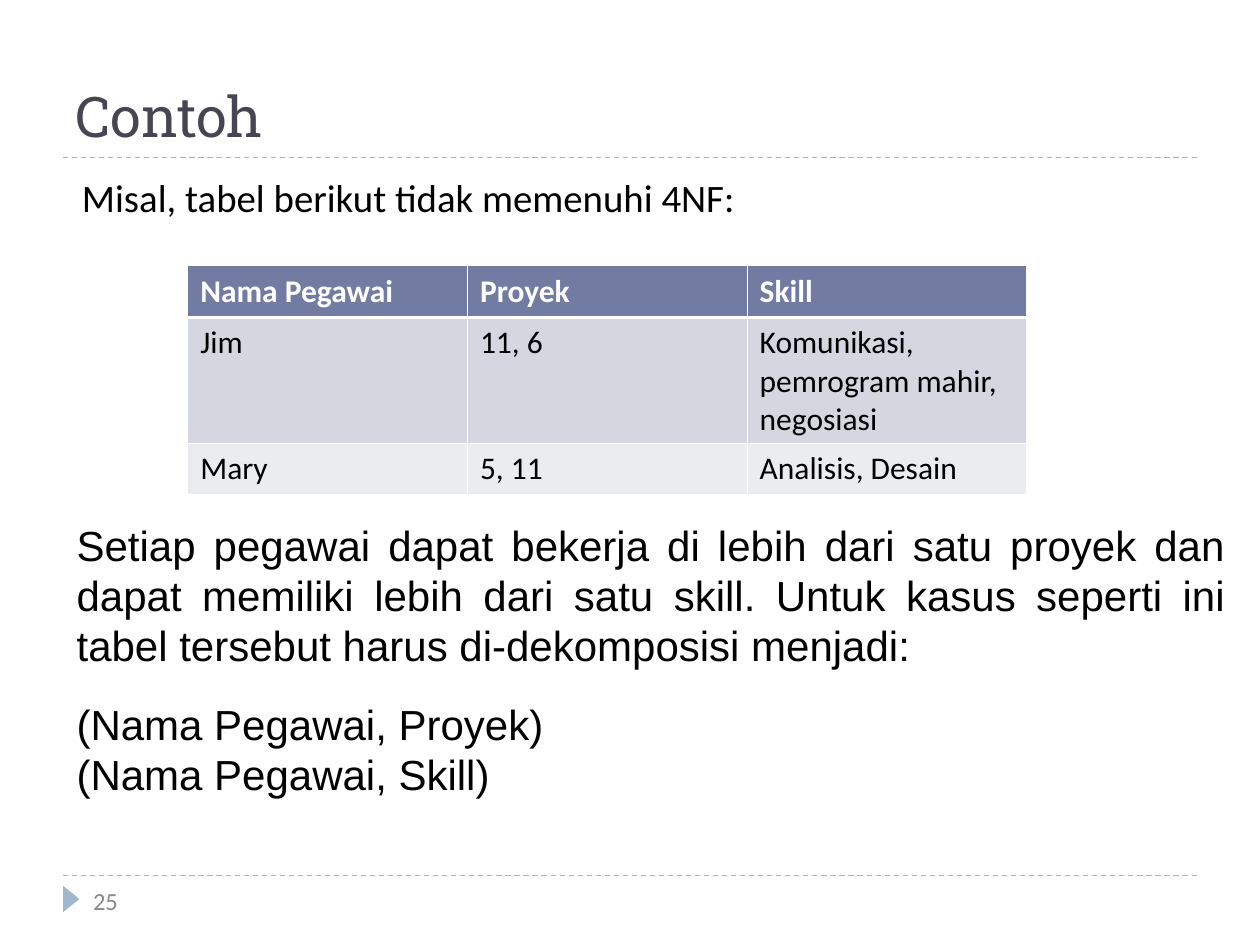
import pptx
import pptx.util
import pptx.dml.color
import pptx.enum.dml
import pptx.enum.shapes
import pptx.enum.text
import pptx.oxml.ns
from lxml import etree

Inches, Pt = pptx.util.Inches, pptx.util.Pt
PP_ALIGN = pptx.enum.text.PP_ALIGN
ANCHOR = pptx.enum.text.MSO_ANCHOR
qn = pptx.oxml.ns.qn

# Content
TITLE = "Contoh"
INTRO = "Misal, tabel berikut tidak memenuhi 4NF:"
ROWS = [
    ("Nama Pegawai", "Proyek", "Skill"),
    ("Jim", "11, 6", "Komunikasi, pemrogram mahir, negosiasi"),
    ("Mary", "5, 11", "Analisis, Desain"),
]
EXPLANATION = ("Setiap pegawai dapat bekerja di lebih dari satu proyek dan dapat "
               "memiliki lebih dari satu skill. Untuk kasus seperti ini tabel "
               "tersebut harus di-dekomposisi menjadi:")
RELATIONS = ["(Nama Pegawai, Proyek)", "(Nama Pegawai, Skill)"]
PAGE = "25"

COLORS = {"title": "464653", "text": "000000", "page": "898989",
          "accent": "9FB8CD", "white": "FFFFFF"}
ROW_FILLS = ["727CA3", "D5D7E0", "EBECF0"]
ROW_HEIGHTS = [0.41, 1, 0.4]
COL_WIDTH = 2.22
THIN, THICK = 0.45, 1.47


def rgb(value):
    return pptx.dml.color.RGBColor.from_string(value)


def place(sp, left, top, width, height):
    sp.left, sp.top = Inches(left), Inches(top)
    sp.width, sp.height = Inches(width), Inches(height)


def write(tf, lines, size, font, color, align=PP_ALIGN.LEFT, bold=False):
    tf.text = "\n".join(lines)
    for p in tf.paragraphs:
        p.alignment = align
        p.space_before = Pt(0)
        for r in p.runs:
            r.font.size, r.font.name, r.font.bold = Pt(size), font, bold
            r.font.color.rgb = rgb(color)


def add_text(s, box, lines, size, font, color, anchor, align=PP_ALIGN.LEFT):
    tf = s.shapes.add_textbox(*map(Inches, box)).text_frame
    tf.word_wrap = True
    tf.vertical_anchor = anchor
    write(tf, lines, size, font, color, align)


def add_rule(s, y):
    line = s.shapes.add_connector(pptx.enum.shapes.MSO_CONNECTOR.STRAIGHT,
                                  Inches(0.5), Inches(y), Inches(9.5), Inches(y))
    line.line.color.rgb = rgb(COLORS["accent"])
    line.line.width = Pt(0.75)
    line.line.dash_style = pptx.enum.dml.MSO_LINE.DASH
    etree.SubElement(line._element.spPr, qn("a:effectLst"))


def set_borders(cell, top, bottom):
    tcPr = cell._tc.get_or_add_tcPr()
    sides = [("lnL", THIN), ("lnR", THIN), ("lnT", top), ("lnB", bottom)]
    for i, (tag, width) in enumerate(sides):
        ln = etree.Element(qn("a:" + tag), w=str(int(Pt(width))))
        fill = etree.SubElement(ln, qn("a:solidFill"))
        etree.SubElement(fill, qn("a:srgbClr"), val=COLORS["white"])
        tcPr.insert(i, ln)


prs = pptx.Presentation()
prs.slide_width, prs.slide_height = Inches(10), Inches(7.5)
s = prs.slides.add_slide(prs.slide_layouts[1])

# Rules and page marker
for y in (6.95, 1.25):
    add_rule(s, y)
marker = s.shapes.add_shape(pptx.enum.shapes.MSO_SHAPE.ISOSCELES_TRIANGLE,
                            Inches(0.46), Inches(7.07), Inches(0.21), Inches(0.13))
marker.rotation = 90
marker.shadow.inherit = False
marker.fill.solid()
marker.fill.fore_color.rgb = rgb(COLORS["accent"])
marker.line.fill.background()

# Title and introduction
title, body = s.shapes.title, s.placeholders[1]
place(title, 0.5, 0.3, 9, 0.93)
place(body, 0.55, 1.33, 6.3, 0.55)
for sp, anchor in ((title, ANCHOR.BOTTOM), (body, ANCHOR.TOP)):
    sp.text_frame.auto_size = pptx.enum.text.MSO_AUTO_SIZE.NONE
    sp.text_frame.vertical_anchor = anchor
write(title.text_frame, [TITLE], 32, "Roboto Slab", COLORS["title"])
write(body.text_frame, [INTRO], 22.2, "Calibri", COLORS["text"])
pPr = body.text_frame.paragraphs[0]._p.get_or_add_pPr()
pPr.set("marL", "0")
pPr.set("indent", "0")
etree.SubElement(pPr, qn("a:buNone"))

# Page number, explanation and resulting relations
add_text(s, (0.64, 6.98, 2.33, 0.52), [PAGE], 14, "Calibri", COLORS["page"], ANCHOR.TOP)
add_text(s, (0.51, 4.07, 9.31, 1.3), [EXPLANATION], 24, "Arial", COLORS["text"],
         ANCHOR.MIDDLE, PP_ALIGN.JUSTIFY)
add_text(s, (0.51, 5.49, 4.96, 0.9), RELATIONS, 24, "Arial", COLORS["text"], ANCHOR.MIDDLE)

# Employee table
n_cols = len(ROWS[0])
table = s.shapes.add_table(len(ROWS), n_cols, Inches(1.49), Inches(2.11),
                           Inches(COL_WIDTH * n_cols), Inches(sum(ROW_HEIGHTS))).table
for col in table.columns:
    col.width = Inches(COL_WIDTH)
for i, (values, fill, height) in enumerate(zip(ROWS, ROW_FILLS, ROW_HEIGHTS)):
    table.rows[i].height = Inches(height)
    header = i == 0
    for j, value in enumerate(values):
        cell = table.cell(i, j)
        cell.fill.solid()
        cell.fill.fore_color.rgb = rgb(fill)
        set_borders(cell, THICK if i == 1 else THIN, THICK if header else THIN)
        write(cell.text_frame, [value], 18, "Calibri",
              COLORS["white" if header else "text"], bold=header)

prs.save("out.pptx")
